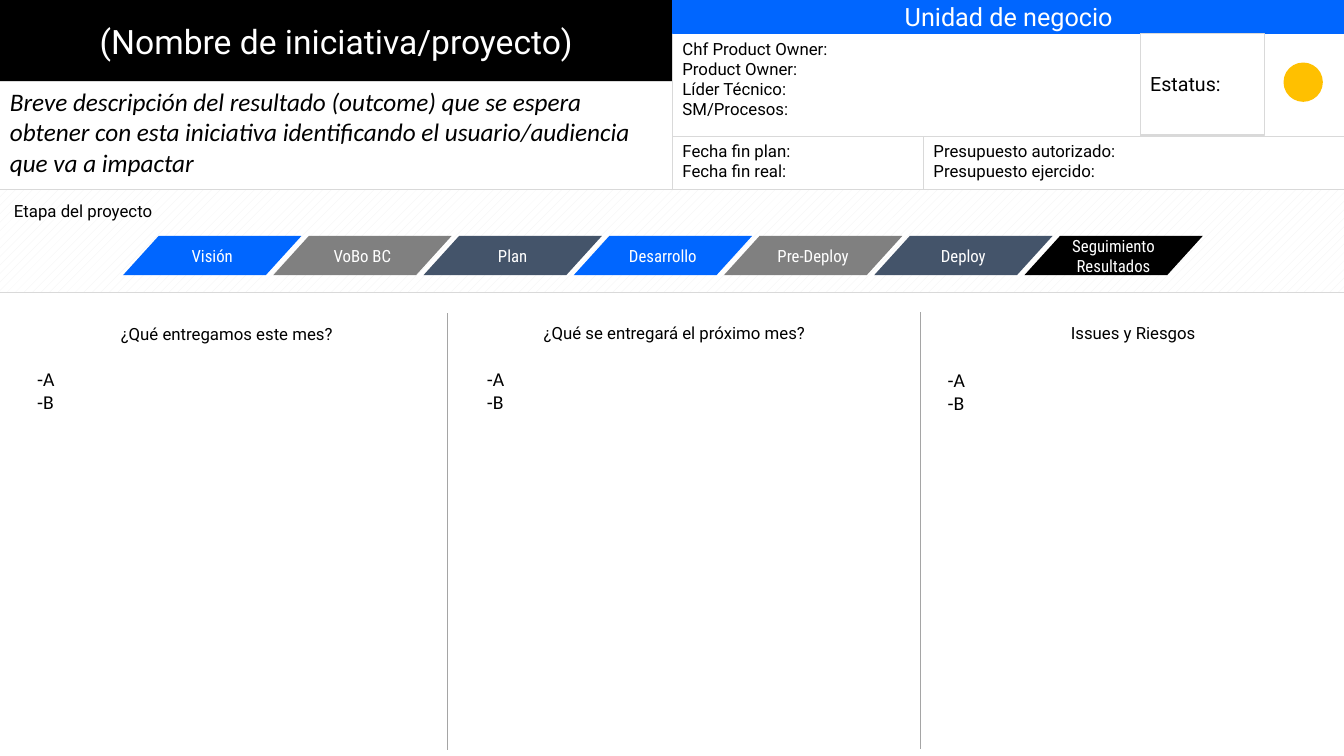
from dataclasses import dataclass

from lxml.etree import SubElement
from pptx import Presentation
from pptx.dml.color import RGBColor
from pptx.enum.dml import MSO_PATTERN as Pattern
from pptx.enum.shapes import MSO_CONNECTOR as Link, MSO_SHAPE as Kind
from pptx.enum.text import MSO_ANCHOR as Anchor, PP_ALIGN as Align
from pptx.oxml.ns import qn
from pptx.slide import Slide
from pptx.util import Inches, Pt

BLACK, WHITE, BLUE = "000000", "FFFFFF", "0066FF"
GRAY, SLATE, AMBER = "808080", "44546A", "FFC000"
EDGE, RULE, HATCH = "D9D9D9", "A5A5A5", "F2F2F2"
WIDTH, HALF = 13.33, 6.67


@dataclass
class Text:
    lines: list[str]
    size: float = 12
    font: str = "Roboto"
    color: str = BLACK
    align: Align = Align.LEFT
    anchor: Anchor = Anchor.TOP
    italic: bool | None = None
    inset: float = 0.05


@dataclass
class Box:
    left: float
    top: float
    width: float
    height: float
    text: Text | None = None
    fill: str | None = None
    line: str | None = EDGE
    weight: float = 0.75
    kind: Kind = Kind.RECTANGLE


@dataclass
class Topic:
    title: str
    left: float
    top: float
    width: float
    height: float
    notes: float
    start: float


def paint(code: str) -> RGBColor:
    return RGBColor.from_string(code)


def write(shape, text: Text) -> None:
    frame = shape.text_frame
    frame.word_wrap = True
    frame.vertical_anchor = text.anchor
    frame.margin_left = frame.margin_right = Inches(0.1)
    frame.margin_top = frame.margin_bottom = Inches(text.inset)
    frame.text = "\n".join(text.lines)
    for para in frame.paragraphs:
        para.alignment = text.align
        font = para.font
        font.name, font.size = text.font, Pt(text.size)
        font.italic = text.italic
        font.color.rgb = paint(text.color)


def draw(slide: Slide, box: Box):
    shape = slide.shapes.add_shape(
        box.kind, Inches(box.left), Inches(box.top),
        Inches(box.width), Inches(box.height))
    shape.shadow.inherit = False
    if box.fill:
        shape.fill.solid()
        shape.fill.fore_color.rgb = paint(box.fill)
    else:
        shape.fill.background()
    if box.line:
        shape.line.color.rgb = paint(box.line)
        shape.line.width = Pt(box.weight)
    else:
        shape.line.fill.background()
    if box.text:
        write(shape, box.text)
    return shape


def label(slide: Slide, left: float, top: float, width: float,
          height: float, text: Text) -> None:
    box = slide.shapes.add_textbox(
        Inches(left), Inches(top), Inches(width), Inches(height))
    write(box, text)


def divide(slide: Slide, left: float, top: float) -> None:
    line = slide.shapes.add_connector(
        Link.STRAIGHT, Inches(left), Inches(top),
        Inches(left), Inches(top + 4.33))
    line.line.color.rgb = paint(RULE)
    line.line.width = Pt(0.5)
    SubElement(line._element.spPr, qn("a:effectLst"))


def banner(line: str, size: float) -> Text:
    return Text([line], size, color=WHITE, align=Align.CENTER,
                anchor=Anchor.MIDDLE)


SUMMARY = ("Breve descripción del resultado (outcome) que se espera obtener "
           "con esta iniciativa identificando el usuario/audiencia que va "
           "a impactar")
OWNERS = ["Chf Product Owner:", "Product Owner:", "Líder Técnico:",
          "SM/Procesos:"]
DATES = ["Fecha fin plan:", "Fecha fin real:"]
BUDGET = ["Presupuesto autorizado:", "Presupuesto ejercido:"]

HEADER = [
    Box(0, 0, HALF, 0.81, banner("(Nombre de iniciativa/proyecto)", 24),
        BLACK, BLACK, 1),
    Box(0, 0.81, HALF, 1.07, Text([SUMMARY], 18, "Calibri", italic=True)),
    Box(HALF, 0.33, 4.64, 1.02, Text(OWNERS)),
    Box(HALF, 0, HALF, 0.33, banner("Unidad de negocio", 18), BLUE, BLUE, 1),
    Box(HALF, 1.35, 2.49, 0.53, Text(DATES)),
    Box(11.31, 0.33, 1.23, 1.01,
        Text(["Estatus:"], 14, anchor=Anchor.MIDDLE)),
    Box(9.16, 1.35, 4.18, 0.53, Text(BUDGET)),
    Box(12.73, 0.62, 0.39, 0.39, fill=AMBER, line=None, kind=Kind.OVAL),
]

STAGES = [
    ("Visión", BLUE), ("VoBo BC", GRAY), ("Plan", SLATE),
    ("Desarrollo", BLUE), ("Pre-Deploy", GRAY), ("Deploy", SLATE),
    ("Seguimiento Resultados", BLACK),
]

TOPICS = [
    Topic("¿Qué entregamos este mes?", 0.72, 3.16, 3.06, 0.45, 0.27, 3.59),
    Topic("¿Qué se entregará el próximo mes?", 4.61, 3.15, 4.16, 0.44,
          4.73, 3.59),
    Topic("Issues y Riesgos", 9.41, 3.15, 3.66, 0.44, 9.3, 3.6),
]


def main() -> None:
    deck = Presentation()
    deck.slide_width, deck.slide_height = Inches(WIDTH), Inches(7.5)
    slide = deck.slides.add_slide(deck.slide_layouts[6])

    for box in HEADER:
        draw(slide, box)

    band = draw(slide, Box(-0.01, 1.88, 13.35, 1.02))
    band.fill.patterned()
    band.fill.pattern = Pattern.PERCENT_20
    band.fill.fore_color.rgb = paint(HATCH)
    band.fill.back_color.rgb = paint(WHITE)
    label(slide, 0.04, 1.94, 3.06, 0.45, Text(["Etapa del proyecto"]))

    for step, (name, color) in enumerate(STAGES):
        text = Text([name], 12, "Roboto Condensed", WHITE, Align.CENTER,
                    Anchor.MIDDLE, inset=0.1)
        draw(slide, Box(1.22 + step * 1.49, 2.34, 1.77, 0.39, text, color,
                        None, kind=Kind.FLOWCHART_DATA))

    for topic in TOPICS:
        label(slide, topic.left, topic.top, topic.width, topic.height,
              Text([topic.title], align=Align.CENTER))
        label(slide, topic.notes, topic.start, 3.94, 3.76,
              Text(["-A", "-B"], 14, "Calibri"))

    divide(slide, 4.44, 3.11)
    divide(slide, 9.13, 3.1)
    deck.save("out.pptx")


if __name__ == "__main__":
    main()
